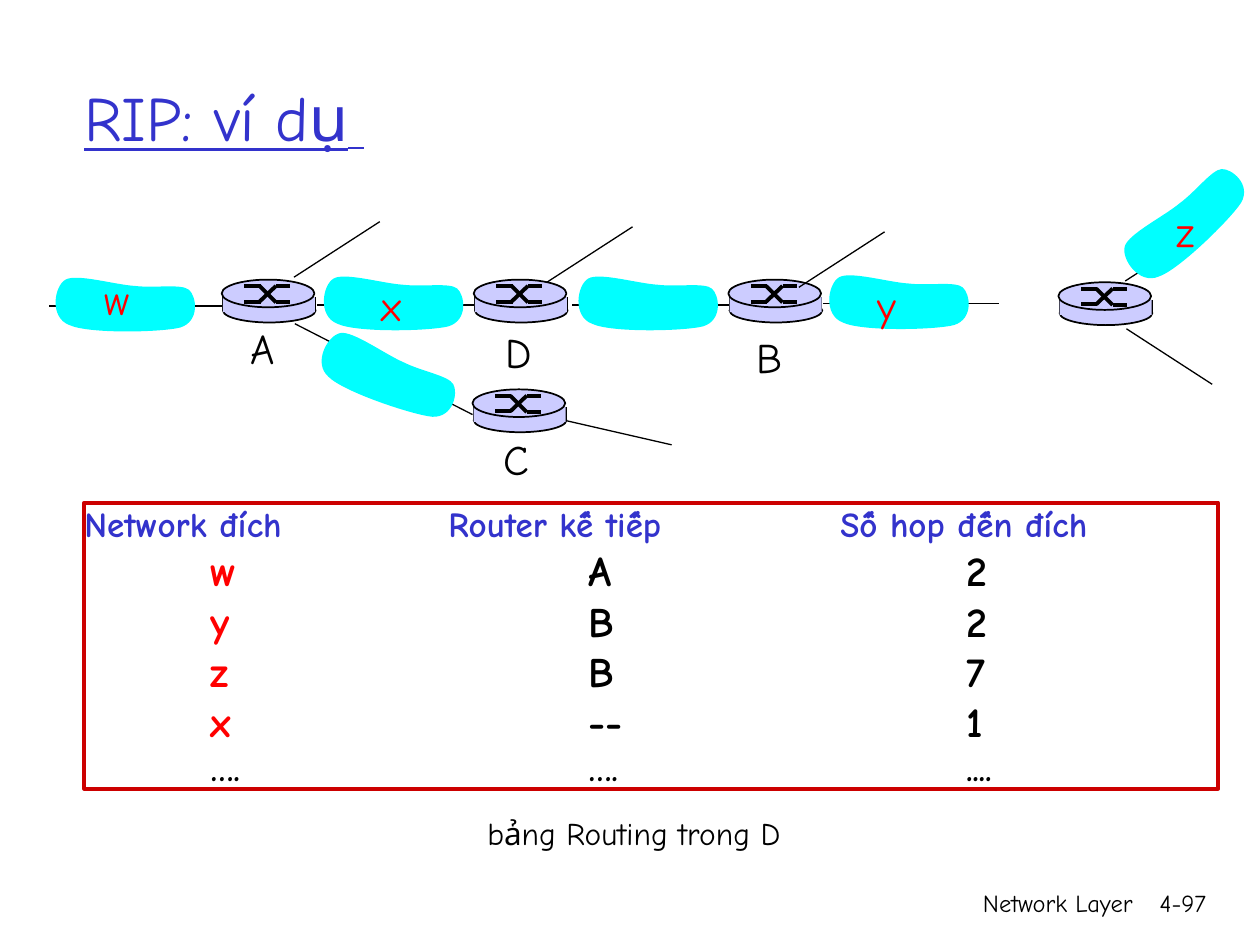
from dataclasses import dataclass

from lxml import etree
from pptx import Presentation
from pptx.dml.color import RGBColor
from pptx.enum import shapes, text
from pptx.oxml.ns import qn
from pptx.util import Pt


@dataclass
class Theme:
    font: str = "Comic Neue"
    blue: str = "3333CC"
    red: str = "FF0000"
    frame: str = "CC0000"
    black: str = "000000"
    cyan: str = "00FFFF"
    lilac: str = "CCCCFF"
    title: int = 36
    large: int = 24
    head: int = 20
    note: int = 18
    foot: int = 14
    thin: float = 0.75
    line: float = 1
    bold: float = 2.25


T = Theme()

TITLE = [("RIP: ví dụ", T.title), (" ", 28)]
HEAD = ("Network đích", "Router kế tiếp", "Số hop đến đích")
ROUTES = [("w", "A", "2"), ("y", "B", "2"), ("z", "B", "7"), ("x", "--", "1")]
MORE = ("….", "….", "....")
HEAD_TABS = (208, 432)
ROW_TABS = (72, 288, 504)

# Left, top
LINKS = [(181.4, 174.2), (326.9, 174.2), (28.1, 175), (470.2, 173.5)]
LINK_LEN = 100.8
ROUTERS = [(270.7, 159.8), (126.7, 159.8), (270, 222.5), (416.2, 159.8), (604.8, 161.3)]
# Start, then run and rise
SPURS = [
    (168, 158.4, 49, -31.7), (312.5, 161.3, 49, -31.7),
    (456.5, 164.2, 49, -31.7), (643, 160.6, 49, -31.7),
    (643.7, 187.9, 49, 31.7), (168.5, 185, 101.5, 51.9),
    (324, 240.5, 59.8, 13.7),
]
# Left, top, turn
CLOUDS = [
    (181.4, 155.5, 0), (178.6, 197.3, 19.7), (28.1, 156.2, 0),
    (326.9, 155.5, 0), (470.2, 154.8, 0), (633.6, 110.2, 316.8),
]
# Start point, then three points for each curve
CLOUD = [
    (49, 7.2),
    (37.4, 6.5), (15.8, 0), (9.4, 3.6),
    (2.9, 7.2), (0, 25.2), (11.5, 29.5),
    (22.3, 34.6), (63.4, 33.8), (74.9, 31),
    (86.4, 27.4), (84.2, 13), (79.9, 9.4),
    (75.6, 5.8), (60.5, 8.6), (49, 7.2),
]
# Router parts, from its top left corner
SIDES = [(0.7, 10, 0.7, 18), (53.3, 10, 53.3, 18)]
CROSS = [
    (13, 3.6, 22.3, 3.6), (31, 13, 39, 13), (21.6, 3.6, 31, 13),
    (13, 12.6, 22.3, 12.6), (31, 3.6, 39, 3.6), (21.6, 12.6, 31, 3.6),
]
# Text, left, top, width, colour
LABELS = [
    ("w", 52.6, 152.6, 28.8, T.red), ("x", 211, 156.2, 25.9, T.red),
    ("y", 494.6, 156.2, 25.2, T.red), ("z", 665.3, 113.8, 24.5, T.red),
    ("A", 136.1, 180.7, 28.1, T.black), ("C", 280.8, 244.1, 28.8, T.black),
    ("D", 281.5, 182.9, 29.5, T.black), ("B", 425.5, 185.8, 28.8, T.black),
]
CAPTION = ("bảng Routing trong D", 271.4, 461.5, 182.2)
FOOTER = [("Network Layer", 426.2, 228.2), ("4-97", 643, 53.3)]


def rgb(code):
    return RGBColor.from_string(code)


def write(para, words, size, color, bold=False, under=False):
    run = para.add_run()
    run.text = words
    font = run.font
    font.name, font.size, font.bold = T.font, Pt(size), bold
    font.underline = under
    font.color.rgb = rgb(color)


def paint(shape, fill=None, line=None, width=T.line):
    shape.shadow.inherit = False
    if fill:
        shape.fill.solid()
        shape.fill.fore_color.rgb = rgb(fill)
    else:
        shape.fill.background()
    if line:
        shape.line.color.rgb = rgb(line)
        shape.line.width = Pt(width)
    else:
        shape.line.fill.background()


def solid(parts, kind, left, top, wide, high, **look):
    shape = parts.add_shape(kind, Pt(left), Pt(top), Pt(wide), Pt(high))
    paint(shape, **look)
    return shape


def stroke(parts, x1, y1, x2, y2, width):
    wire = parts.add_connector(
        shapes.MSO_CONNECTOR.STRAIGHT, Pt(x1), Pt(y1), Pt(x2), Pt(y2))
    wire.line.color.rgb = rgb(T.black)
    wire.line.width = Pt(width)
    etree.SubElement(wire._element.spPr, qn("a:effectLst"))


def router(parts, x, y):
    group = parts.add_group_shape().shapes
    oval, box = shapes.MSO_SHAPE.OVAL, shapes.MSO_SHAPE.RECTANGLE
    solid(group, oval, x + 0.7, y + 10.8, 53, 13.7, fill=T.lilac, line=T.black)
    for x1, y1, x2, y2 in SIDES:
        stroke(group, x + x1, y + y1, x + x2, y + y2, T.line)
    solid(group, box, x + 0.7, y + 10, 52.6, 8.6, fill=T.lilac)
    solid(group, oval, x, y, 53, 15.8, fill=T.lilac, line=T.black)
    for x1, y1, x2, y2 in CROSS:
        stroke(group, x + x1, y + y1, x + x2, y + y2, T.bold)


def cloud(parts, x, y, turn):
    """Lay out the points as straight sides, then bend each three into a curve."""
    dots = [(Pt(x + dx), Pt(y + dy)) for dx, dy in CLOUD]
    pen = parts.build_freeform(*dots[0])
    pen.add_line_segments(dots[1:], close=True)
    shape = pen.convert_to_shape()
    sides = list(shape._element.iter(qn("a:lnTo")))
    for i in range(0, len(sides), 3):
        curve = etree.Element(qn("a:cubicBezTo"))
        sides[i].addprevious(curve)
        for side in sides[i:i + 3]:
            curve.append(side[0])
            side.getparent().remove(side)
    paint(shape, fill=T.cyan)
    shape.rotation = turn


def label(parts, words, x, y, wide, high, size, color, right=False):
    frame = parts.add_textbox(Pt(x), Pt(y), Pt(wide), Pt(high)).text_frame
    frame.word_wrap = right
    if not right:
        frame.auto_size = text.MSO_AUTO_SIZE.SHAPE_TO_FIT_TEXT
    para = frame.paragraphs[0]
    para.alignment = text.PP_ALIGN.RIGHT if right else text.PP_ALIGN.LEFT
    write(para, words, size, color)


def table(parts):
    """The routing list: one tabbed paragraph a row in a framed box."""
    box = solid(parts, shapes.MSO_SHAPE.RECTANGLE, 48.2, 287.3, 648, 163.4,
                line=T.frame, width=T.bold)
    frame = box.text_frame
    frame.margin_left = frame.margin_right = frame.margin_top = frame.margin_bottom = 0
    frame.vertical_anchor = text.MSO_ANCHOR.TOP
    rows = [(HEAD, HEAD_TABS, T.head, T.blue, T.blue)]
    rows += [(row, ROW_TABS, T.large, T.red, T.black) for row in ROUTES]
    rows.append((MORE, ROW_TABS, T.head, T.black, T.black))
    for i, (cells, stops, size, first, rest) in enumerate(rows):
        para = frame.add_paragraph() if i else frame.paragraphs[0]
        para.alignment = text.PP_ALIGN.LEFT
        tabs = etree.SubElement(para._p.get_or_add_pPr(), qn("a:tabLst"))
        for stop in stops:
            etree.SubElement(tabs, qn("a:tab"), pos=str(Pt(stop)), algn="l")
        lead = "\t" if len(stops) == len(cells) else ""
        write(para, lead + cells[0], size, first, bold=True)
        for cell in cells[1:]:
            write(para, "\t" + cell, size, rest, bold=True)


def main():
    deck = Presentation()
    deck.slide_width, deck.slide_height = Pt(720), Pt(540)
    slide = deck.slides.add_slide(deck.slide_layouts[5])
    parts = slide.shapes

    title = parts.title
    title.left, title.top, title.width, title.height = Pt(41), Pt(21.6), Pt(612), Pt(90)
    title.text_frame.vertical_anchor = text.MSO_ANCHOR.MIDDLE
    para = title.text_frame.paragraphs[0]
    para.alignment = text.PP_ALIGN.LEFT
    for words, size in TITLE:
        write(para, words, size, T.blue, under=True)

    table(parts)
    for x, y in LINKS:
        stroke(parts, x, y, x + LINK_LEN, y, T.line)
    for x, y in ROUTERS:
        router(parts, x, y)
    for x, y, run, rise in SPURS:
        stroke(parts, x, y, x + run, y + rise, T.thin)
    for spot in CLOUDS:
        cloud(parts, *spot)
    for words, x, y, wide, color in LABELS:
        label(parts, words, x, y, wide, 36, T.large, color)
    label(parts, *CAPTION, 28.8, T.note, T.black)
    for words, x, wide in FOOTER:
        label(parts, words, x, 504, wide, 36, T.foot, T.black, right=True)
    deck.save("out.pptx")


if __name__ == "__main__":
    main()
